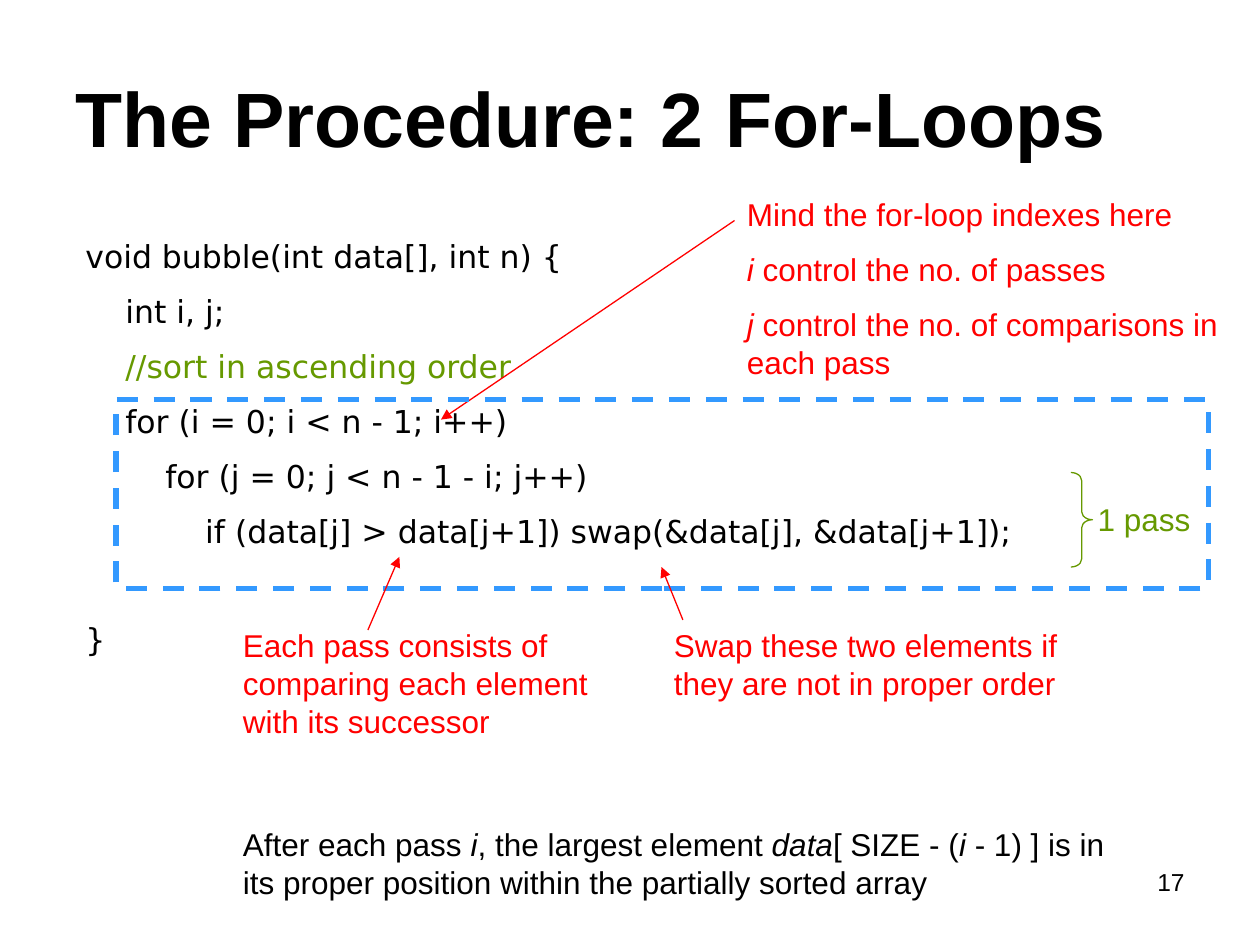
from lxml import etree
from pptx import Presentation
from pptx import util as u
from pptx.dml.color import RGBColor
from pptx.enum import dml, shapes, text
from pptx.oxml.ns import qn

COLORS = {"ink": "000000", "note": "FF0000", "comment": "669900",
          "frame": "3399FF", "paper": "FFFFFF"}
PARA_GAP = 9.8


def rgb(name):
    return RGBColor.from_string(COLORS[name])


def write(sp, paragraphs, size=18, color="ink", font="Arial", bold=False,
          align=text.PP_ALIGN.LEFT, anchor=text.MSO_ANCHOR.TOP, gaps=None):
    """Each paragraph is a list of (text, overrides) runs."""
    tf = sp.text_frame
    tf.word_wrap = True
    tf.vertical_anchor = anchor
    for i, runs in enumerate(paragraphs):
        p = tf.add_paragraph() if i else tf.paragraphs[0]
        p.alignment = align
        if i:
            p.space_before = u.Pt((gaps or {}).get(i, PARA_GAP))
        for content, style in runs:
            r = p.add_run()
            r.text = content
            r.font.name = font
            r.font.size = u.Pt(size)
            r.font.bold = bold
            r.font.italic = style.get("italic", False)
            r.font.color.rgb = rgb(style.get("color", color))


def add_text(s, x, y, w, h, paragraphs, **style):
    sp = s.shapes.add_textbox(u.Inches(x), u.Inches(y), u.Inches(w), u.Inches(h))
    write(sp, paragraphs, **style)


def add_outline(s, kind, x, y, w, h, color, width):
    sp = s.shapes.add_shape(kind, u.Inches(x), u.Inches(y), u.Inches(w), u.Inches(h))
    sp.shadow.inherit = False
    sp.fill.background()
    sp.line.color.rgb = rgb(color)
    sp.line.width = u.Pt(width)
    return sp


def add_arrow(s, x1, y1, x2, y2):
    c = s.shapes.add_connector(shapes.MSO_CONNECTOR.STRAIGHT, u.Inches(x1),
                               u.Inches(y1), u.Inches(x2), u.Inches(y2))
    c.line.color.rgb = rgb("note")
    c.line.width = u.Pt(0.75)
    etree.SubElement(c.line._get_or_add_ln(), qn("a:tailEnd"), type="triangle")
    etree.SubElement(c._element.spPr, qn("a:effectLst"))


def add_header(s, x, y, w, h):
    add_text(s, x, y, w, h, [[("The Procedure: 2 For-Loops", {})]],
             size=44, bold=True, anchor=text.MSO_ANCHOR.MIDDLE)


def add_code(s, x, y, w, h):
    lines = [
        ("void bubble(int data[], int n) {", {}),
        ("    int i, j;", {}),
        ("    //sort in ascending order", {"color": "comment"}),
        ("    for (i = 0; i < n - 1; i++)", {}),
        ("        for (j = 0; j < n - 1 - i; j++)", {}),
        ("            if (data[j] > data[j+1]) swap(&data[j], &data[j+1]);", {}),
        ("}", {}),
    ]
    # The closing brace stands one line lower
    add_text(s, x, y, w, h, [[line] for line in lines], font="DejaVu Sans",
             gaps={len(lines) - 1: 40.6})


def add_index_note(s, x, y, w, h):
    add_arrow(s, x, y + 0.25, x - 2.33, y + 1.83)
    add_text(s, x, y, w, h, [
        [("Mind the for-loop indexes here", {})],
        [("i", {"italic": True}), (" control the no. of passes", {})],
        [("j ", {"italic": True}),
         ("control the no. of comparisons in each pass", {})],
    ], color="note")


def add_pass_frame(s, x, y, w, h):
    frame = add_outline(s, shapes.MSO_SHAPE.RECTANGLE, x, y, w, h, "frame", 3)
    frame.line.dash_style = dml.MSO_LINE.DASH
    # Brace and its label
    brace = add_outline(s, shapes.MSO_SHAPE.RIGHT_BRACE, x + 7.58, y + 0.58,
                        0.17, h / 2, "comment", 0.75)
    brace.adjustments[0] = 0.375
    brace.adjustments[1] = 0.5
    add_text(s, x + 7.66, y + 0.75, 1, 0.4, [[("1 pass", {})]],
             color="comment", align=text.PP_ALIGN.CENTER)


def add_step_note(s, x, y, w, h, words, arrow):
    add_text(s, x, y, w, h, [[(words, {})]], color="note")
    add_arrow(s, *arrow)


def add_summary(s, x, y, w, h):
    sp = s.shapes.add_shape(shapes.MSO_SHAPE.RECTANGLE, u.Inches(x), u.Inches(y),
                            u.Inches(w), u.Inches(h))
    sp.shadow.inherit = False
    sp.fill.solid()
    sp.fill.fore_color.rgb = rgb("paper")
    sp.line.fill.background()
    italic = {"italic": True}
    write(sp, [[
        ("After each pass ", {}), ("i", italic), (", the largest element ", {}),
        ("data", italic), ("[ SIZE - (", {}), ("i ", italic),
        ("- 1) ] is in its proper position within the partially sorted array", {}),
    ]])


def main():
    prs = Presentation()
    prs.slide_width, prs.slide_height = u.Inches(10), u.Inches(7.5)
    s = prs.slides.add_slide(prs.slide_layouts[6])

    # Page number and title
    add_text(s, 7.17, 6.83, 2.33, 0.52, [[("17", {})]], size=14,
             align=text.PP_ALIGN.RIGHT)
    add_header(s, 0.5, 0.3, 9, 1.25)

    # Code with its annotations
    add_code(s, 0.58, 1.83, 8.67, 3.56)
    add_index_note(s, 5.83, 1.5, 4, 1.6)
    add_pass_frame(s, 0.92, 3.17, 8.67, 1.5)
    add_step_note(s, 1.83, 4.92, 3, 1,
                  "Each pass consists of comparing each element with its successor",
                  (2.92, 5, 3.17, 4.42))
    add_step_note(s, 5.25, 4.92, 3.25, 0.7,
                  "Swap these two elements if they are not in proper order",
                  (5.42, 4.92, 5.25, 4.5))
    add_summary(s, 1.83, 6.5, 7.33, 0.7)

    prs.save("out.pptx")


if __name__ == "__main__":
    main()
